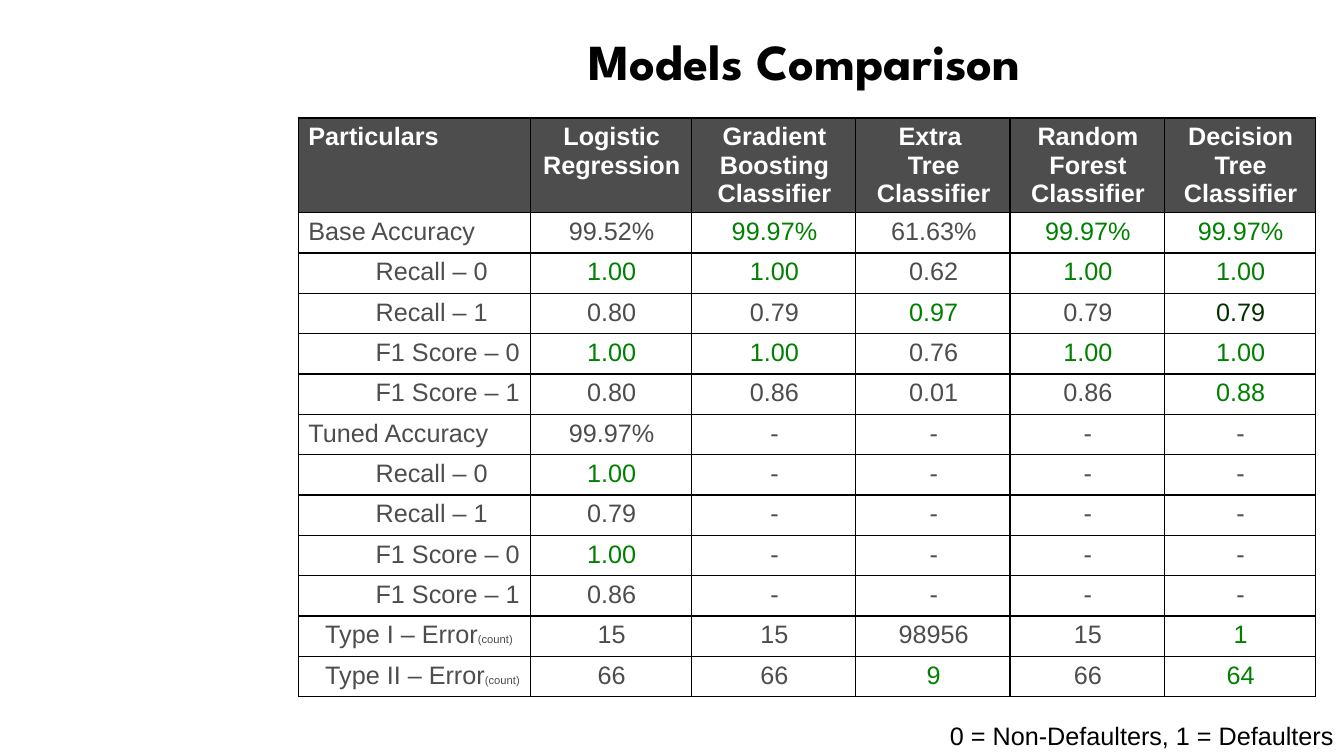
from dataclasses import dataclass, field

from lxml import etree
from pptx import Presentation
from pptx.dml.color import RGBColor
from pptx.enum.text import MSO_ANCHOR, PP_ALIGN
from pptx.oxml.ns import qn
from pptx.util import Pt

LEFT, CENTER, RIGHT = PP_ALIGN.LEFT, PP_ALIGN.CENTER, PP_ALIGN.RIGHT
TOP, MIDDLE = MSO_ANCHOR.TOP, MSO_ANCHOR.MIDDLE

BLACK, WHITE, GRAY = "000000", "FFFFFF", "4D4D4D"
GREEN, DARK_GREEN = "008000", "043000"
BODY_FONT, TITLE_FONT = "Arial", "League Spartan"
METRIC_INDENT, ERROR_INDENT = 48, 12
HEADER_HEIGHT, ROW_HEIGHT = 67.2, 28.8
COLUMN_WIDTHS = (165.6, 115.2, 117.36, 110.16, 110.16, 108)
BORDER_TAGS = ("a:lnL", "a:lnR", "a:lnT", "a:lnB")


@dataclass(frozen=True)
class Row:
    label: str
    values: tuple[str, ...]
    best: tuple[int, ...] = ()
    indent: float = 0
    level: int = 0
    suffix: str = ""
    tints: dict[int, str] = field(default_factory=dict)

    def color(self, column: int) -> str:
        return self.tints.get(column, GREEN if column in self.best else GRAY)


def metric(label: str, values: tuple[str, ...], best: tuple[int, ...] = (),
           tints: dict[int, str] | None = None) -> Row:
    return Row(label, values, best, METRIC_INDENT, 1, tints=tints or {})


def error(label: str, values: tuple[str, ...], best: tuple[int, ...]) -> Row:
    return Row(label, values, best, ERROR_INDENT, suffix="(count)")


UNTUNED = ("-",) * 4
HEADERS = (
    "Particulars", "Logistic Regression", "Gradient Boosting Classifier",
    "Extra \nTree Classifier", "Random Forest Classifier", "Decision Tree Classifier",
)
ROWS = (
    Row("Base Accuracy", ("99.52%", "99.97%", "61.63%", "99.97%", "99.97%"), (1, 3, 4)),
    metric("Recall – 0", ("1.00", "1.00", "0.62", "1.00", "1.00"), (0, 1, 3, 4)),
    metric("Recall – 1", ("0.80", "0.79", "0.97", "0.79", "0.79"), (2,), {4: DARK_GREEN}),
    metric("F1 Score – 0", ("1.00", "1.00", "0.76", "1.00", "1.00"), (0, 1, 3, 4)),
    metric("F1 Score – 1", ("0.80", "0.86", "0.01", "0.86", "0.88"), (4,)),
    Row("Tuned Accuracy", ("99.97%", *UNTUNED)),
    metric("Recall – 0", ("1.00", *UNTUNED), (0,)),
    metric("Recall – 1", ("0.79", *UNTUNED)),
    metric("F1 Score – 0", ("1.00", *UNTUNED), (0,)),
    metric("F1 Score – 1", ("0.86", *UNTUNED)),
    error("Type I – Error", ("15", "15", "98956", "15", "1"), (4,)),
    error("Type II – Error", ("66", "66", "9", "66", "64"), (2, 4)),
)


def rgb(color: str) -> RGBColor:
    return RGBColor.from_string(color)


def write(frame, text: str, *, color: str, size: float = 18, font: str = BODY_FONT,
          bold: bool = False, align: PP_ALIGN = LEFT, indent: float = 0,
          level: int = 0, suffix: str = "") -> None:
    frame.word_wrap = True
    for index, line in enumerate(text.split("\n")):
        para = frame.add_paragraph() if index else frame.paragraphs[0]
        para.alignment = align
        para.level = level
        if indent:
            properties = para._p.get_or_add_pPr()
            properties.set("marL", str(Pt(indent)))
            properties.set("indent", "0")
        for content, span_size in ((line, size), (suffix, 8)):
            if content:
                span = para.add_run()
                span.text = content
                span.font.name = font
                span.font.size = Pt(span_size)
                span.font.bold = bold
                span.font.color.rgb = rgb(color)


def style_cell(cell, fill: str) -> None:
    cell.vertical_anchor = TOP
    cell.margin_right = Pt(6)
    cell.margin_left = Pt(7.2)
    properties = cell._tc.get_or_add_tcPr()
    for tag in BORDER_TAGS:
        line = etree.SubElement(properties, qn(tag), w=str(Pt(1)))
        solid = etree.SubElement(line, qn("a:solidFill"))
        etree.SubElement(solid, qn("a:srgbClr"), val=BLACK)
    cell.fill.solid()
    cell.fill.fore_color.rgb = rgb(fill)


def add_title(page) -> None:
    title = page.shapes.title
    title.left, title.top = Pt(211), Pt(15.84)
    title.width, title.height = Pt(727.2), Pt(54.72)
    title.text_frame.vertical_anchor = MIDDLE
    write(title.text_frame, "Models Comparison", color=BLACK, size=36,
          font=TITLE_FONT, bold=True, align=CENTER)


def add_comparison(page) -> None:
    height = HEADER_HEIGHT + ROW_HEIGHT * len(ROWS)
    table = page.shapes.add_table(
        len(ROWS) + 1, len(HEADERS), Pt(213.12), Pt(84.24),
        Pt(sum(COLUMN_WIDTHS)), Pt(height)).table
    for column, width in zip(table.columns, COLUMN_WIDTHS):
        column.width = Pt(width)
    for index, table_row in enumerate(table.rows):
        table_row.height = Pt(ROW_HEIGHT if index else HEADER_HEIGHT)
        for cell in table_row.cells:
            style_cell(cell, WHITE if index else GRAY)
    for column, text in enumerate(HEADERS):
        write(table.cell(0, column).text_frame, text, color=WHITE, bold=True,
              align=CENTER if column else LEFT)
    for index, row in enumerate(ROWS, start=1):
        write(table.cell(index, 0).text_frame, row.label, color=GRAY,
              indent=row.indent, level=row.level, suffix=row.suffix)
        for column, value in enumerate(row.values):
            write(table.cell(index, column + 1).text_frame, value,
                  color=row.color(column), align=CENTER)


def add_legend(page) -> None:
    box = page.shapes.add_textbox(Pt(638.64), Pt(511.2), Pt(321.12), Pt(28.8))
    write(box.text_frame, "0 = Non-Defaulters, 1 = Defaulters", color=BLACK, align=RIGHT)
    box.text_frame.margin_right = Pt(7.2)


def main() -> None:
    deck = Presentation()
    deck.slide_width, deck.slide_height = Pt(960), Pt(540)
    page = deck.slides.add_slide(deck.slide_layouts[5])
    add_title(page)
    add_comparison(page)
    add_legend(page)
    deck.save("out.pptx")


if __name__ == "__main__":
    main()
